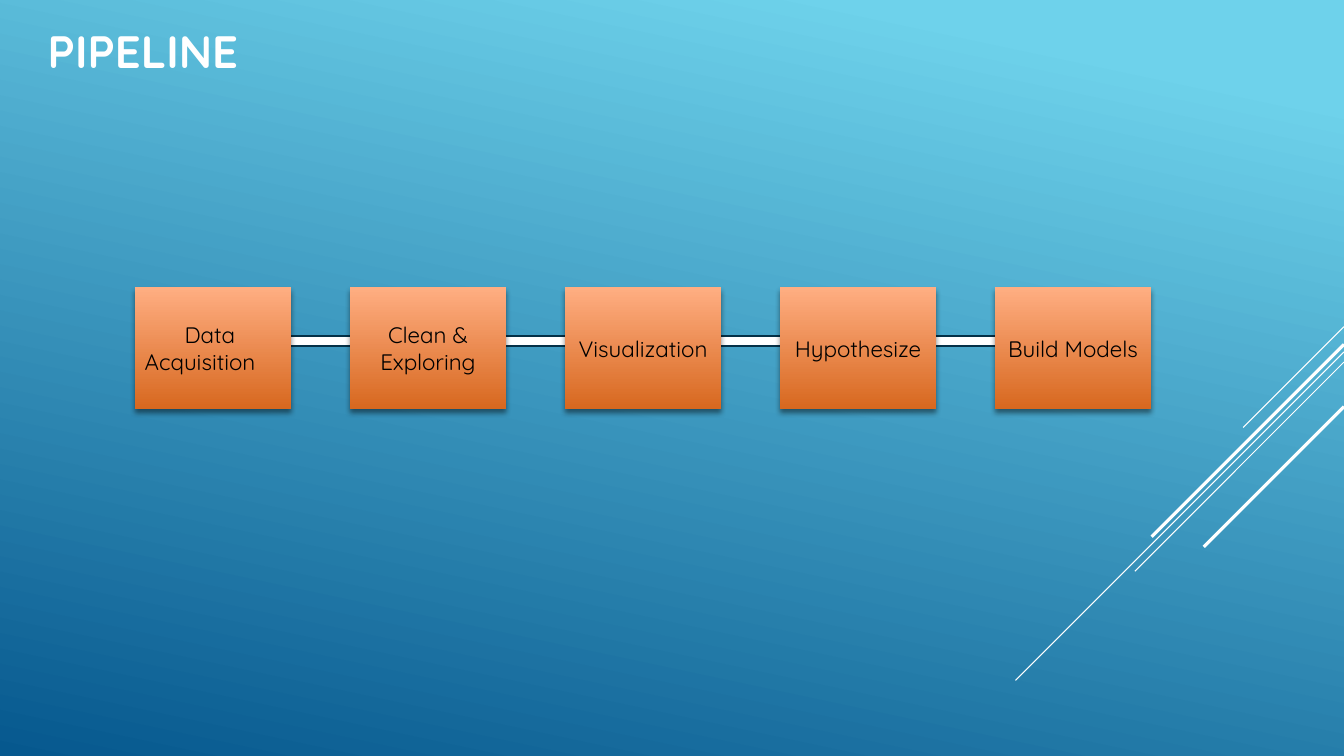
from lxml import etree
from pptx import Presentation
from pptx.dml.color import RGBColor
from pptx.enum.shapes import MSO_CONNECTOR, MSO_SHAPE
from pptx.enum.text import MSO_ANCHOR, PP_ALIGN
from pptx.oxml import parse_xml
from pptx.oxml.ns import nsdecls, qn
from pptx.util import Inches, Pt

RECTANGLE = MSO_SHAPE.RECTANGLE
STRAIGHT = MSO_CONNECTOR.STRAIGHT
MIDDLE = MSO_ANCHOR.MIDDLE
LEFT, CENTER = PP_ALIGN.LEFT, PP_ALIGN.CENTER

COLORS = {
    "sky": "6ED2EB",
    "sea": "06588E",
    "white": "FFFFFF",
    "navy": "043148",
    "peach": "FFAE82",
    "orange": "D7681F",
    "black": "000000",
}
COLUMNS, ROWS = 160, 90
STEP_LEFT, STEP_PITCH = 16.05, 25.6
STEPS = [
    [("Data ", CENTER), ("Acquisition", LEFT)],
    [("Clean &", CENTER), ("Exploring", CENTER)],
    [("Visualization", CENTER)],
    [("Hypothesize", CENTER)],
    [("Build Models", CENTER)],
]
DIAGONALS = [
    (38.9, 12, 0.75),
    (41.9, 39.1, 0.75),
    (43.1, 24.9, 0.75),
    (41, 22.9, 2.25),
    (48.4, 16.7, 2.25),
]


class PipelineSlide:
    """Draws the pipeline elements on a grid of 160 columns by 90 rows."""

    def __init__(self, deck, font="Quicksand"):
        self.deck = deck
        self.font = font
        self.page = deck.slides.add_slide(deck.slide_layouts[6])

    def place(self, column, row):
        return (round(self.deck.slide_width * column / COLUMNS),
                round(self.deck.slide_height * row / ROWS))

    def color(self, name):
        return RGBColor.from_string(COLORS[name])

    def gradient(self, fill, stops, angle):
        fill.gradient()
        fill.gradient_angle = 360 - angle
        for stop, (position, name) in zip(fill.gradient_stops, stops):
            stop.position = position
            stop.color.rgb = self.color(name)

    def add_lines(self, box, lines, size, color, bold=False):
        frame = box.text_frame
        frame.word_wrap = True
        frame.vertical_anchor = MIDDLE
        for index, (text, alignment) in enumerate(lines):
            para = frame.add_paragraph() if index else frame.paragraphs[0]
            para.alignment = alignment
            span = para.add_run()
            span.text = text
            span.font.name = self.font
            span.font.size = Pt(size)
            span.font.bold = bold
            span.font.color.rgb = self.color(color)

    def background(self):
        self.gradient(self.page.background.fill, [(0.1, "sky"), (1, "sea")], 102)

    def diagonal(self, row, length, weight):
        line = self.page.shapes.add_connector(
            STRAIGHT, *self.place(COLUMNS, row),
            *self.place(COLUMNS - length, row + length))
        line.line.color.rgb = self.color("white")
        line.line.width = Pt(weight)
        etree.SubElement(line.element.spPr, qn("a:effectLst"))

    def title(self, text, column, row, width, height):
        box = self.page.shapes.add_textbox(
            *self.place(column, row), *self.place(width, height))
        self.add_lines(box, [(text, LEFT)], 32.4, "white", bold=True)

    def rectangle(self, column, row, width, height):
        box = self.page.shapes.add_shape(
            RECTANGLE, *self.place(column, row), *self.place(width, height))
        box.shadow.inherit = False
        return box

    def bar(self, column, row, width, height):
        box = self.rectangle(column, row, width, height)
        box.fill.solid()
        box.fill.fore_color.rgb = self.color("white")
        box.line.color.rgb = self.color("navy")
        box.line.width = Pt(1.25)

    def step(self, lines, column, row, width, height):
        box = self.rectangle(column, row, width, height)
        self.gradient(box.fill, [(0, "peach"), (1, "orange")], 90)
        box.line.fill.background()
        shadow = parse_xml(
            f'<a:outerShdw {nsdecls("a")} blurRad="{Pt(4)}" dist="{Pt(3)}" '
            f'dir="5400000" rotWithShape="0"><a:srgbClr val="{COLORS["black"]}">'
            '<a:alpha val="46000"/></a:srgbClr></a:outerShdw>')
        box.element.spPr.find(qn("a:effectLst")).append(shadow)
        self.add_lines(box, lines, 16, "black")


def main():
    deck = Presentation()
    deck.slide_width, deck.slide_height = Inches(13.33), Inches(7.5)
    slide = PipelineSlide(deck)
    slide.background()
    for row, length, weight in DIAGONALS:
        slide.diagonal(row, length, weight)
    slide.title("PIPELINE", 4.5, 2.6, 44.3, 6.8)
    slide.bar(32, 40, 91.7, 1.2)
    for index, lines in enumerate(STEPS):
        slide.step(lines, STEP_LEFT + index * STEP_PITCH, 34.2, 18.6, 14.5)
    deck.save("out.pptx")


if __name__ == "__main__":
    main()
